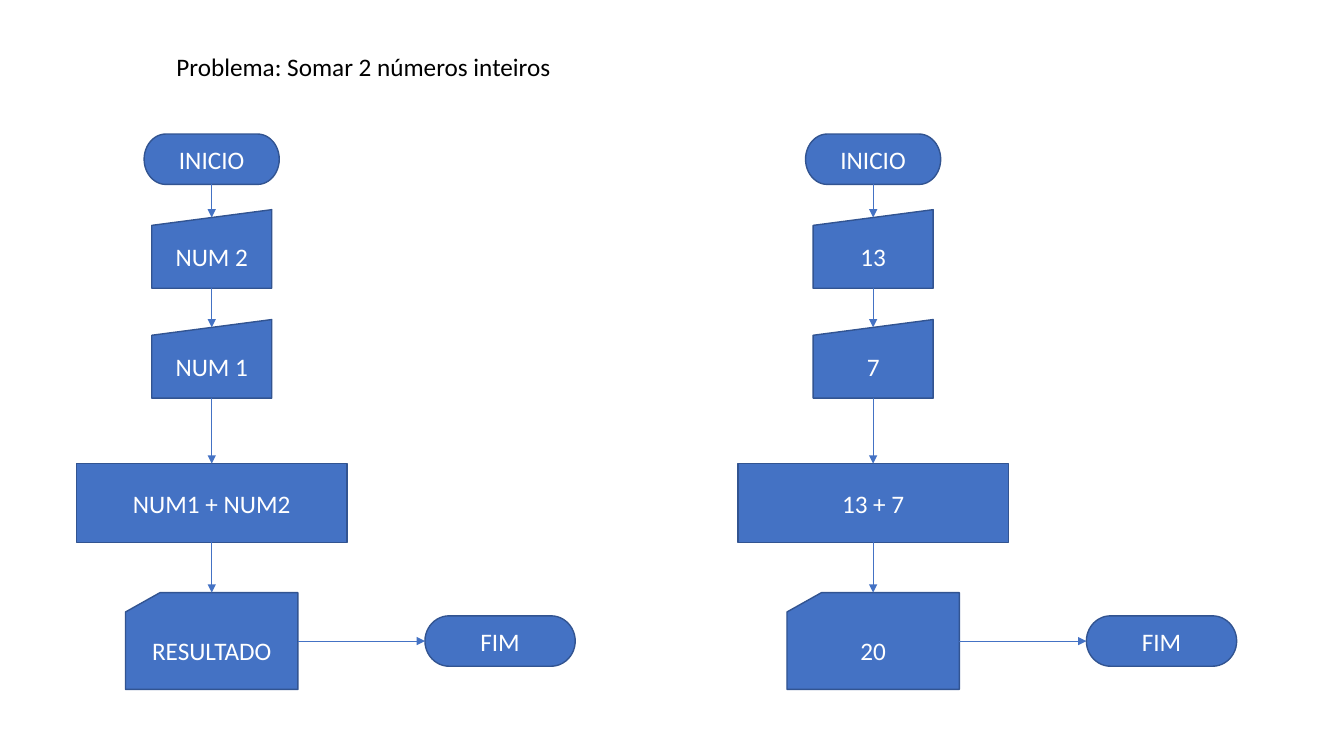
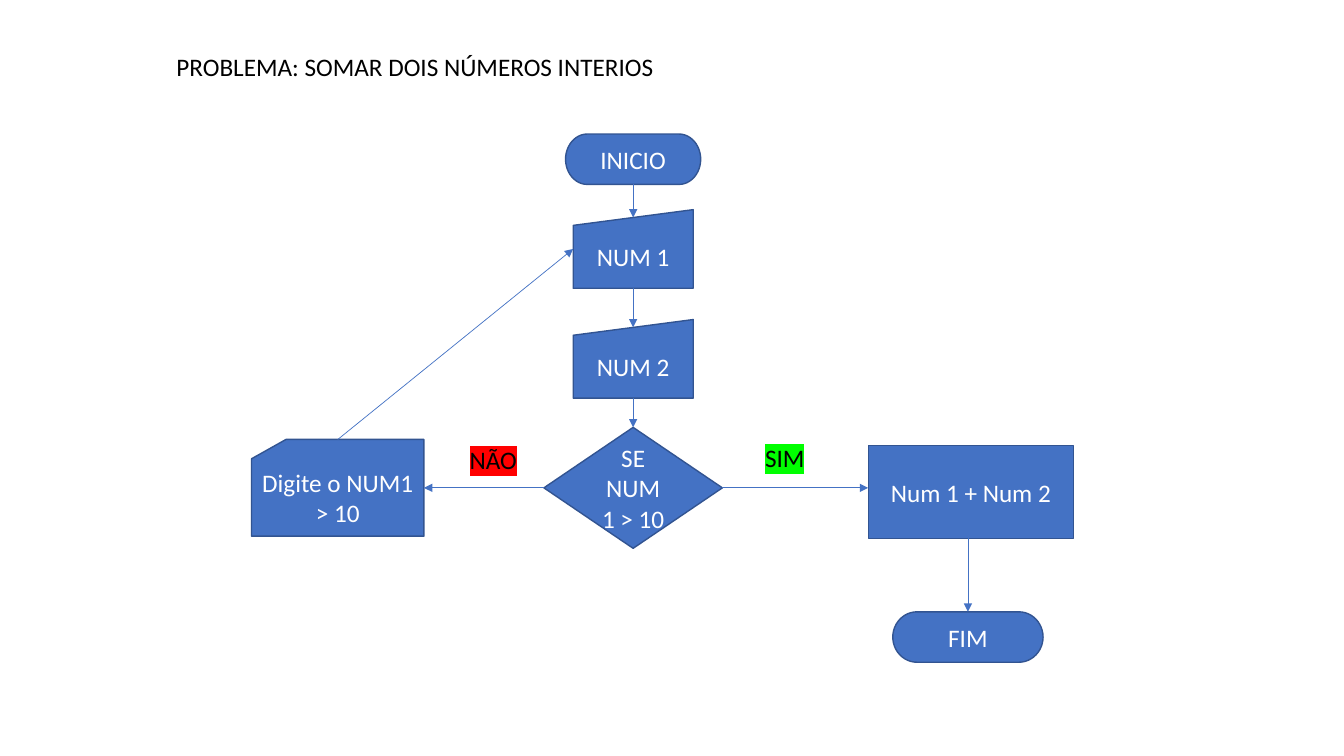
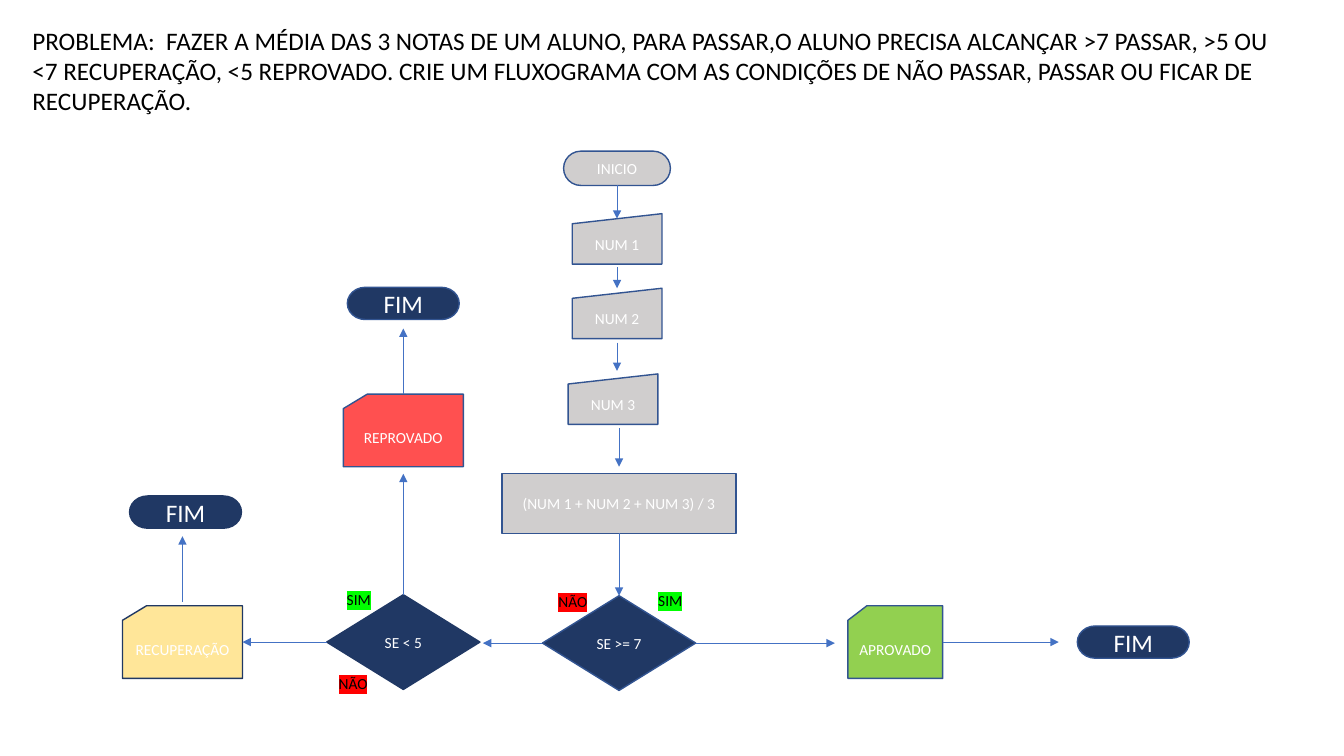
"""Builds three slides of flowcharts: two sums and a grade average."""
from lxml import etree
from pptx import Presentation
from pptx.dml.color import RGBColor
from pptx.enum.shapes import MSO_CONNECTOR, MSO_SHAPE
from pptx.enum.text import MSO_ANCHOR, MSO_AUTO_SIZE, PP_ALIGN
from pptx.oxml.ns import qn
from pptx.util import Inches, Pt

STRAIGHT = MSO_CONNECTOR.STRAIGHT
PILL = MSO_SHAPE.FLOWCHART_TERMINATOR
INPUT = MSO_SHAPE.FLOWCHART_MANUAL_INPUT
PROCESS = MSO_SHAPE.FLOWCHART_PROCESS
CARD = MSO_SHAPE.FLOWCHART_CARD
DIAMOND = MSO_SHAPE.FLOWCHART_DECISION
LEFT, CENTER = PP_ALIGN.LEFT, PP_ALIGN.CENTER
TOP, MIDDLE = MSO_ANCHOR.TOP, MSO_ANCHOR.MIDDLE
NO_FIT = MSO_AUTO_SIZE.NONE
T, L, B, R = range(4)

FONT = "Calibri"
BLACK = RGBColor(0x00, 0x00, 0x00)
WHITE = RGBColor(0xFF, 0xFF, 0xFF)
BLUE = RGBColor(0x44, 0x72, 0xC4)
EDGE = RGBColor(0x32, 0x54, 0x91)
NAVY = RGBColor(0x20, 0x38, 0x64)
GRAY = RGBColor(0xD0, 0xCE, 0xCE)
GREEN = RGBColor(0x92, 0xD0, 0x50)
CORAL = RGBColor(0xFF, 0x50, 0x50)
SAND = RGBColor(0xFF, 0xE6, 0x99)
LIME = RGBColor(0x00, 0xFF, 0x00)
RED = RGBColor(0xFF, 0x00, 0x00)
MARKS = {"SIM": LIME, "NÃO": RED}

BIG = {
    "start": (PILL, 1.34, 0.5),
    "end": (PILL, 1.49, 0.5),
    "input": (INPUT, 1.19, 0.78),
    "calc": (PROCESS, 2.68, 0.78),
    "sum": (PROCESS, 2.03, 0.92),
    "card": (CARD, 1.71, 0.96),
    "test": (DIAMOND, 1.77, 1.2),
}
SMALL = {
    "start": (PILL, 1.06, 0.34),
    "end": (PILL, 1.11, 0.32),
    "input": (INPUT, 0.89, 0.5),
    "calc": (PROCESS, 2.32, 0.59),
    "card": (CARD, 1.19, 0.72),
    "slim": (CARD, 0.94, 0.72),
    "test": (DIAMOND, 1.52, 0.94),
}


def column(tag, mid, first, second, total, result):
    """Gives the boxes and arrows of one sum."""
    steps = [("start", "INICIO", 1.33), ("input", first, 2.08),
             ("input", second, 3.17), ("calc", total, 4.6),
             ("card", result, 5.88)]
    boxes = {(tag, n): (kind, text, mid, top, BLUE, EDGE)
             for n, (kind, text, top) in enumerate(steps)}
    arrows = [(((tag, n), B), ((tag, n + 1), T)) for n in range(4)]
    boxes[tag, 5] = ("end", "FIM", mid + 2.86, 6.11, BLUE, EDGE)
    arrows.append((((tag, 4), R), ((tag, 5), L)))
    return boxes, arrows


names, links = column("names", 2.1, "NUM 2", "NUM 1", "NUM1 + NUM2", "RESULTADO")
values, joins = column("values", 8.66, "13", "7", "13 + 7", "20")

SLIDES = [
    {
        "title": ("Problema: Somar 2 números inteiros", 1.65, 0.46, 4.53, 0.4),
        "sizes": BIG, "font": 18, "tags": [],
        "boxes": names | values,
        "arrows": links + joins,
    },
    {
        "title": ("PROBLEMA: SOMAR DOIS NÚMEROS INTERIOS", 1.65, 0.46, 6.83, 0.4),
        "sizes": BIG, "font": 18,
        "boxes": {
            "start": ("start", "INICIO", 6.28, 1.33, BLUE, EDGE),
            "num1": ("input", "NUM 1", 6.28, 2.08, BLUE, EDGE),
            "num2": ("input", "NUM 2", 6.28, 3.17, BLUE, EDGE),
            "test": ("test", "SE NUM 1 > 10", 6.28, 4.24, BLUE, EDGE),
            "retry": ("card", "Digite o NUM1 > 10", 3.35, 4.36, BLUE, EDGE),
            "sum": ("sum", "Num 1 + Num 2", 9.63, 4.42, BLUE, EDGE),
            "end": ("end", "FIM", 9.6, 6.07, BLUE, EDGE),
        },
        "arrows": [
            (("start", B), ("num1", T)),
            (("num1", B), ("num2", T)),
            (("num2", B), ("test", T)),
            (("test", L), ("retry", R)),
            (("test", R), (8.61, 4.84)),
            ((9.6, 5.34), ("end", T)),
            (("retry", T), ("num1", L)),
        ],
        "tags": [("SIM", 7.49, 4.34), ("NÃO", 4.56, 4.36)],
    },
    {
        "title": ("PROBLEMA:  FAZER A MÉDIA DAS 3 NOTAS DE UM ALUNO, PARA PASSAR,"
                  "O ALUNO PRECISA ALCANÇAR >7 PASSAR, >5 OU <7 RECUPERAÇÃO, "
                  "<5 REPROVADO. CRIE UM FLUXOGRAMA COM AS CONDIÇÕES DE NÃO "
                  "PASSAR, PASSAR OU FICAR DE RECUPERAÇÃO.",
                  0.22, 0.2, 12.76, 1.01),
        "sizes": SMALL, "font": 11,
        "boxes": {
            "start": ("start", "INICIO", 6.12, 1.5, GRAY, EDGE),
            "num1": ("input", "NUM 1", 6.12, 2.12, GRAY, EDGE),
            "num2": ("input", "NUM 2", 6.12, 2.86, GRAY, EDGE),
            "num3": ("input", "NUM 3", 6.08, 3.71, GRAY, EDGE),
            "calc": ("calc", "(NUM 1 + NUM 2 + NUM 3) / 3", 6.14, 4.7, GRAY, EDGE),
            "pass": ("test", "SE >= 7", 6.14, 5.91, NAVY, EDGE),
            "fail": ("test", "SE < 5", 4, 5.9, NAVY, NAVY),
            "good": ("slim", "APROVADO", 8.88, 6.01, GREEN, EDGE),
            "bad": ("card", "REPROVADO", 4, 3.91, CORAL, EDGE),
            "again": ("card", "RECUPERAÇÃO", 1.81, 6.01, SAND, NAVY),
            "end1": ("end", "FIM", 11.24, 6.21, NAVY, EDGE),
            "end2": ("end", "FIM", 4, 2.85, NAVY, EDGE),
            "end3": ("end", "FIM", 1.84, 4.92, NAVY, NAVY),
        },
        "arrows": [
            (("start", B), ("num1", T)),
            ((6.12, 2.65), (6.12, 2.86)),
            ((6.12, 3.4), (6.12, 3.68)),
            ((6.14, 4.25), (6.14, 4.63)),
            (("calc", B), ("pass", T)),
            (("pass", L), (4.79, 6.38)),
            (("pass", R), (8.28, 6.38)),
            (("good", R), (10.5, 6.37)),
            (("fail", T), (4, 4.7)),
            (("bad", T), (4, 3.26)),
            (("fail", L), ("again", R)),
            ((1.81, 5.97), (1.81, 5.32)),
        ],
        "tags": [("SIM", 6.43, 5.82), ("NÃO", 5.44, 5.83),
                 ("SIM", 3.34, 5.81), ("NÃO", 3.26, 6.64)],
    },
]


def write(shape, text, size, color, align, anchor):
    """Puts one styled paragraph in a shape."""
    frame = shape.text_frame
    frame.text = text
    frame.word_wrap = True
    frame.auto_size = NO_FIT
    frame.vertical_anchor = anchor
    para = frame.paragraphs[0]
    para.alignment = align
    para.font.name = FONT
    para.font.size = Pt(size)
    para.font.color.rgb = color
    return para


def add_box(slide, spec, sizes, size):
    """Draws one flowchart step, centred on its middle."""
    kind, text, mid, top, fill, edge = spec
    form, wide, high = sizes[kind]
    box = slide.shapes.add_shape(form, Inches(mid - wide / 2), Inches(top),
                                 Inches(wide), Inches(high))
    box.shadow.inherit = False
    box.fill.solid()
    box.fill.fore_color.rgb = fill
    box.line.color.rgb = edge
    box.line.width = Pt(1)
    write(box, text, 18 if kind == "end" else size, WHITE, CENTER, MIDDLE)
    return box


def add_arrow(slide, start, end, boxes):
    """Draws an arrow between points or sides of boxes."""
    points = [(0, 0) if spot[0] in boxes else map(Inches, spot)
              for spot in (start, end)]
    (x1, y1), (x2, y2) = points
    line = slide.shapes.add_connector(STRAIGHT, x1, y1, x2, y2)
    if start[0] in boxes:
        line.begin_connect(boxes[start[0]], start[1])
    if end[0] in boxes:
        box = boxes[end[0]]
        line.end_connect(box, end[1])
        if box.auto_shape_type == INPUT and end[1] == T:
            line.end_y = box.top + box.height // 10
    line.line.color.rgb = BLUE
    line.line.width = Pt(0.5)
    etree.SubElement(line.get_or_add_ln(), qn("a:tailEnd"), type="triangle")
    etree.SubElement(line._element.spPr, qn("a:effectLst"))


def add_tag(slide, text, left, top, size):
    """Writes a highlighted answer."""
    box = slide.shapes.add_textbox(Inches(left), Inches(top),
                                   Inches(0.75), Inches(0.4))
    para = write(box, text, size, BLACK, LEFT, TOP)
    props = para.runs[0]._r.get_or_add_rPr()
    mark = etree.SubElement(props, qn("a:highlight"))
    etree.SubElement(mark, qn("a:srgbClr"), val=str(MARKS[text]))


def build(deck, data):
    """Builds one slide."""
    slide = deck.slides.add_slide(deck.slide_layouts[5])
    text, *place = data["title"]
    title = slide.shapes.title
    title.left, title.top, title.width, title.height = map(Inches, place)
    write(title, text, 18, BLACK, LEFT, TOP)
    boxes = {key: add_box(slide, spec, data["sizes"], data["font"])
             for key, spec in data["boxes"].items()}
    for start, end in data["arrows"]:
        add_arrow(slide, start, end, boxes)
    for text, left, top in data["tags"]:
        add_tag(slide, text, left, top, data["font"])


def main():
    """Builds and saves the deck."""
    deck = Presentation()
    deck.slide_width, deck.slide_height = Inches(13.33), Inches(7.5)
    for data in SLIDES:
        build(deck, data)
    deck.save("out.pptx")


if __name__ == "__main__":
    main()
